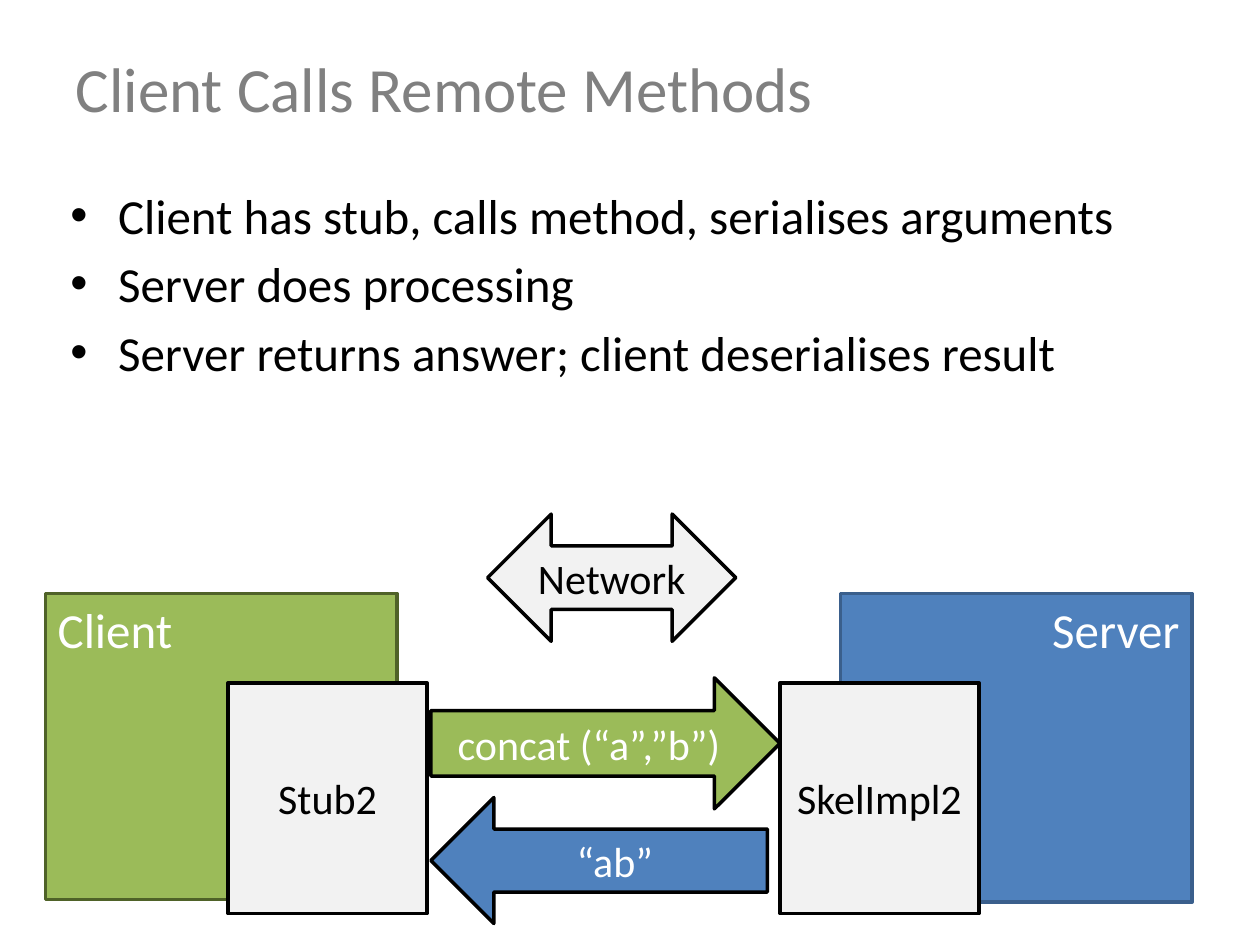
"""Build the slide on a client calling remote methods through a stub and a skeleton."""
from dataclasses import dataclass

from lxml import etree
from pptx import Presentation
from pptx.dml.color import RGBColor
from pptx.enum.shapes import MSO_SHAPE
from pptx.enum.text import MSO_ANCHOR, PP_ALIGN
from pptx.oxml.ns import qn
from pptx.util import Inches, Pt

BOX = MSO_SHAPE.RECTANGLE
TWO_WAY = MSO_SHAPE.LEFT_RIGHT_ARROW
CALL = MSO_SHAPE.RIGHT_ARROW
REPLY = MSO_SHAPE.LEFT_ARROW
LEFT, CENTER, RIGHT = PP_ALIGN.LEFT, PP_ALIGN.CENTER, PP_ALIGN.RIGHT
TOP, MIDDLE = MSO_ANCHOR.TOP, MSO_ANCHOR.MIDDLE
COLUMNS, ROWS = 100, 75
TITLE_ONLY = 5


@dataclass(frozen=True)
class Theme:
    """Colours, font and sizes of the slide."""
    font: str = "Calibri"
    heading: str = "808080"
    ink: str = "000000"
    paper: str = "FFFFFF"
    neutral: str = "F2F2F2"
    client: str = "9BBB59"
    client_edge: str = "4F6228"
    server: str = "4F81BD"
    server_edge: str = "3A5F8C"
    title_size: int = 36
    body_size: int = 28
    label_size: int = 24
    edge_width: int = 2
    bullet_gap: float = 5.5
    bullet_indent: float = 0.38


class SlideBuilder:
    """Place styled elements on the current slide by grid column and row."""

    def __init__(self, deck, theme):
        """Open a title-only slide."""
        self.deck = deck
        self.theme = theme
        self.slide = deck.slides.add_slide(deck.slide_layouts[TITLE_ONLY])

    def area(self, column, row, columns, rows):
        """Turn grid units into left, top, width and height."""
        across = self.deck.slide_width / COLUMNS
        down = self.deck.slide_height / ROWS
        return (round(column * across), round(row * down),
                round(columns * across), round(rows * down))

    def style(self, paragraph, size, color, align=LEFT):
        """Format a paragraph and its runs."""
        paragraph.alignment = align
        for run in paragraph.runs:
            run.font.name = self.theme.font
            run.font.size = Pt(size)
            run.font.color.rgb = RGBColor.from_string(color)

    def title(self, text, *place):
        """Fill and move the title placeholder."""
        heading = self.slide.shapes.title
        heading.left, heading.top, heading.width, heading.height = self.area(*place)
        heading.text_frame.text = text
        heading.text_frame.vertical_anchor = MIDDLE
        self.style(heading.text_frame.paragraphs[0],
                   self.theme.title_size, self.theme.heading)

    def bullets(self, points, *place):
        """Add a bulleted list."""
        frame = self.slide.shapes.add_textbox(*self.area(*place)).text_frame
        frame.word_wrap = True
        frame.text = "\n".join(points)
        indent = Inches(self.theme.bullet_indent)
        for position, point in enumerate(frame.paragraphs):
            properties = point._p.get_or_add_pPr()
            properties.set("marL", str(indent))
            properties.set("indent", str(-indent))
            etree.SubElement(properties, qn("a:buFont")).set("typeface", "Arial")
            etree.SubElement(properties, qn("a:buChar")).set("char", "•")
            if position:
                point.space_before = Pt(self.theme.bullet_gap)
            self.style(point, self.theme.body_size, self.theme.ink)

    def block(self, kind, text, place, fill, edge, color, size, align, anchor):
        """Add a filled and outlined shape with its label."""
        block = self.slide.shapes.add_shape(kind, *self.area(*place))
        block.shadow.inherit = False
        block.fill.solid()
        block.fill.fore_color.rgb = RGBColor.from_string(fill)
        block.line.color.rgb = RGBColor.from_string(edge)
        block.line.width = Pt(self.theme.edge_width)
        frame = block.text_frame
        frame.word_wrap = True
        frame.text = text
        frame.vertical_anchor = anchor
        self.style(frame.paragraphs[0], size, color, align)

    def host(self, text, place, fill, edge, align):
        """Add a machine labelled in its top corner."""
        self.block(BOX, text, place, fill, edge, self.theme.paper,
                   self.theme.body_size, align, TOP)

    def component(self, kind, text, place, fill, color):
        """Add a black-edged shape with a centred label."""
        self.block(kind, text, place, fill, self.theme.ink, color,
                   self.theme.label_size, CENTER, MIDDLE)


def main():
    """Compose and save the slide."""
    deck = Presentation()
    deck.slide_width, deck.slide_height = Inches(10), Inches(7.5)
    theme = Theme()
    page = SlideBuilder(deck, theme)
    page.title("Client Calls Remote Methods", 5, 3, 90, 7.8)
    page.bullets(["Client has stub, calls method, serialises arguments",
                  "Server does processing",
                  "Server returns answer; client deserialises result"],
                 4.6, 14.2, 90, 17.5)

    page.host("Server", (66.7, 47.1, 27.9, 24.5), theme.server, theme.server_edge, RIGHT)
    page.host("Client", (3.6, 47.1, 27.9, 24.3), theme.client, theme.client_edge, LEFT)
    page.component(TWO_WAY, "Network", (38.7, 40.8, 19.7, 10.1), theme.neutral, theme.ink)
    for endpoint, column in (("SkelImpl2", 61.9), ("Stub2", 18.1)):
        page.component(BOX, endpoint, (column, 54.2, 15.8, 18.3), theme.neutral, theme.ink)
    page.component(CALL, "concat (“a”,”b”)", (34.2, 53.8, 27.7, 10.4),
                   theme.client, theme.paper)
    page.component(REPLY, "“ab”", (34.2, 63.3, 26.7, 10), theme.server, theme.paper)
    deck.save("out.pptx")


if __name__ == "__main__":
    main()
